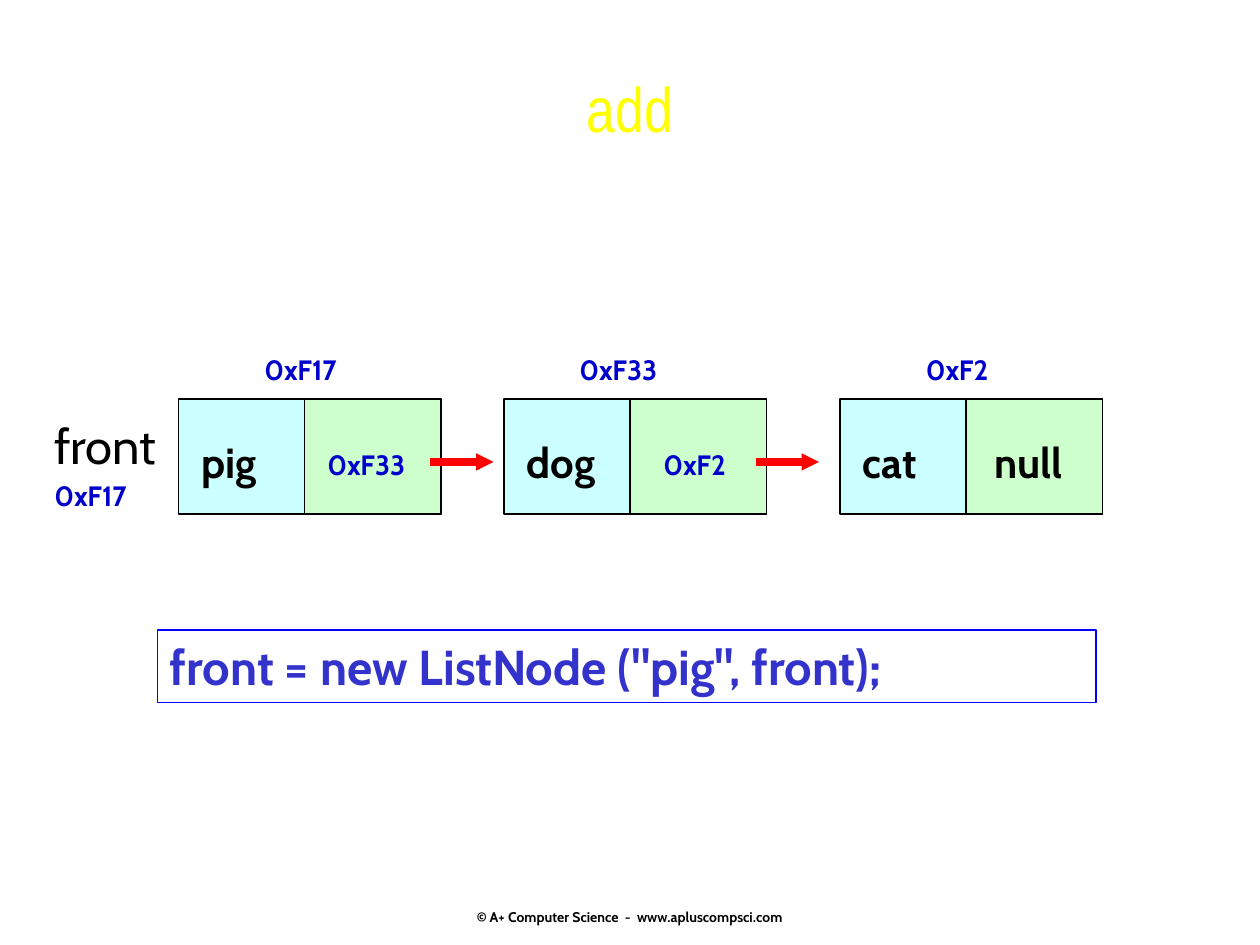
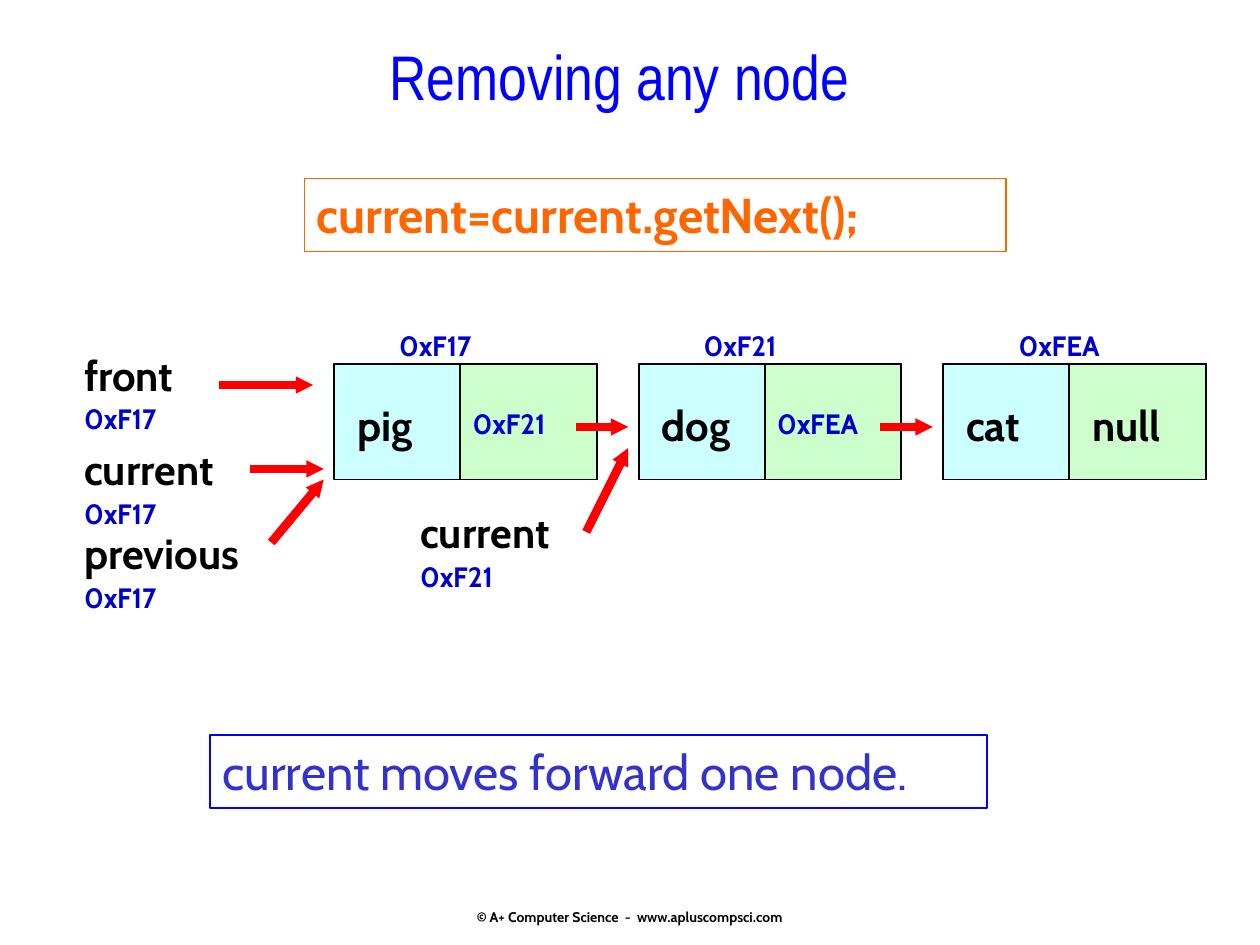
"""Build two slides that explain adding to and walking along a linked list."""
from lxml import etree
from pptx import Presentation
from pptx.dml.color import RGBColor
from pptx.enum import shapes, text as t
from pptx.oxml import ns
from pptx.util import Pt

BLACK, BLUE, ADDRESS_BLUE, CODE_BLUE = "000000", "0000FF", "0000CC", "3333CC"
YELLOW, ORANGE, RED = "FFFF00", "FF6600", "FF0000"
VALUE_FILL, NEXT_FILL = "CCFFFF", "CCFFCC"
NODE_WIDTH, NODE_HEIGHT, VALUE_WIDTH = 150, 66, 72
WORD = {"size": 24, "bold": True}
ADDRESS = {"size": 16, "bold": True, "color": ADDRESS_BLUE}
FOOTER = "© A+ Computer Science  -  www.apluscompsci.com"


def paint(target, value):
    target.rgb = RGBColor.from_string(value)


def write(page, words, left, top, width, height, size=28, bold=False, color=BLACK,
          font="Cabin", align=t.PP_ALIGN.LEFT, anchor=t.MSO_ANCHOR.TOP,
          border=None, border_width=1):
    box = page.shapes.add_textbox(Pt(left), Pt(top), Pt(width), Pt(height))
    frame = box.text_frame
    frame.word_wrap = True
    frame.vertical_anchor = anchor
    if anchor == t.MSO_ANCHOR.BOTTOM:
        frame.margin_bottom = 0
    if border:
        paint(box.line.color, border)
        box.line.width = Pt(border_width)
    para = frame.paragraphs[0]
    para.alignment = align
    span = para.add_run()
    span.text = words
    span.font.name, span.font.size, span.font.bold = font, Pt(size), bold
    paint(span.font.color, color)


slides = [
    {
        "title": ("add", 102, 36, 516, 84, YELLOW),
        "boxes": [('front = new ListNode ("pig", front);', 90, 360, 536.4, 41.4,
                   {"bold": True, "color": CODE_BLUE, "border": BLUE})],
        "node_top": 228, "label_rise": 30, "word_drop": 18, "next_drop": 24,
        "nodes": [(102, "pig", "0xF17", 42, "0xF33", 78),
                  (288, "dog", "0xF33", 36, "0xF2", 84),
                  (480, "cat", "0xF2", 42, "null", 81)],
        "link": (144, 180),
        "variables": [("front", "0xF17", 24, 234, 36, {"size": 28})],
        "arrows": [],
    },
    {
        "title": ("Removing any node", 192, 18, 324, 42, BLUE),
        "boxes": [("current=current.getNext();", 174, 102, 401, 41.8,
                   {"bold": True, "color": ORANGE, "border": ORANGE,
                    "border_width": 0.75}),
                  ("current moves forward one node.", 120, 420, 444, 41.8,
                   {"color": CODE_BLUE, "border": BLUE})],
        "node_top": 208, "label_rise": 24, "word_drop": 16.6, "next_drop": 21,
        "nodes": [(191, "pig", "0xF17", 30, "0xF21", 72),
                  (365, "dog", "0xF21", 30, "0xFEA", 72),
                  (539, "cat", "0xFEA", 36, "null", 78)],
        "link": (138, 168),
        "variables": [("front", "0xF17", 41, 196, 30, WORD),
                      ("current", "0xF17", 41, 250, 30, WORD),
                      ("previous", "0xF17", 41, 298, 30, WORD),
                      ("current", "0xF21", 233, 286, 30, WORD)],
        "arrows": [(125, 220, 179, 220), (143, 268, 185, 268),
                   (155, 310, 185, 274), (335, 304, 359, 256)],
    },
]

deck = Presentation()
deck.slide_width, deck.slide_height = Pt(720), Pt(540)

for content in slides:
    page = deck.slides.add_slide(deck.slide_layouts[6])
    write(page, FOOTER, 246, 492, 228, 37, size=8, bold=True,
          align=t.PP_ALIGN.CENTER, anchor=t.MSO_ANCHOR.BOTTOM)
    title, left, top, width, height, color = content["title"]
    write(page, title, left, top, width, height, size=36, color=color,
          font="Arial Narrow", align=t.PP_ALIGN.CENTER)
    for words, left, top, width, height, style in content["boxes"]:
        write(page, words, left, top, width, height, **style)

    top = content["node_top"]
    word_top = top + content["word_drop"]
    arrows = list(content["arrows"])
    for left, value, address, label_shift, successor, next_shift in content["nodes"]:
        for shift, fill in ((0, VALUE_FILL), (VALUE_WIDTH, NEXT_FILL)):
            cell = page.shapes.add_shape(
                shapes.MSO_SHAPE.RECTANGLE, Pt(left + shift), Pt(top),
                Pt(NODE_WIDTH - shift), Pt(NODE_HEIGHT))
            cell.shadow.inherit = False
            cell.fill.solid()
            paint(cell.fill.fore_color, fill)
            paint(cell.line.color, BLACK)
            cell.line.width = Pt(1)
        write(page, value, left + 6, word_top, 66, 36, **WORD)
        write(page, address, left + label_shift, top - content["label_rise"],
              78, 26.6, **ADDRESS)
        if successor == "null":
            write(page, successor, left + next_shift, word_top, 78, 36, **WORD)
        else:
            write(page, successor, left + next_shift, top + content["next_drop"],
                  78, 26.6, **ADDRESS)
            start, end = content["link"]
            arrows.append((left + start, top + 36, left + end, top + 36))

    for name, address, left, top, gap, style in content["variables"]:
        write(page, name, left, top, 126 if len(name) > 5 else 84, 36, **style)
        write(page, address, left, top + gap, 78, 26.6, **ADDRESS)

    for ends in arrows:
        arrow = page.shapes.add_connector(
            shapes.MSO_CONNECTOR.STRAIGHT, *(Pt(end) for end in ends))
        paint(arrow.line.color, RED)
        arrow.line.width = Pt(5)
        outline = arrow.line._get_or_add_ln()
        etree.SubElement(outline, ns.qn("a:tailEnd"), type="triangle", w="sm", len="sm")
        etree.SubElement(outline.getparent(), ns.qn("a:effectLst"))

deck.save("out.pptx")
